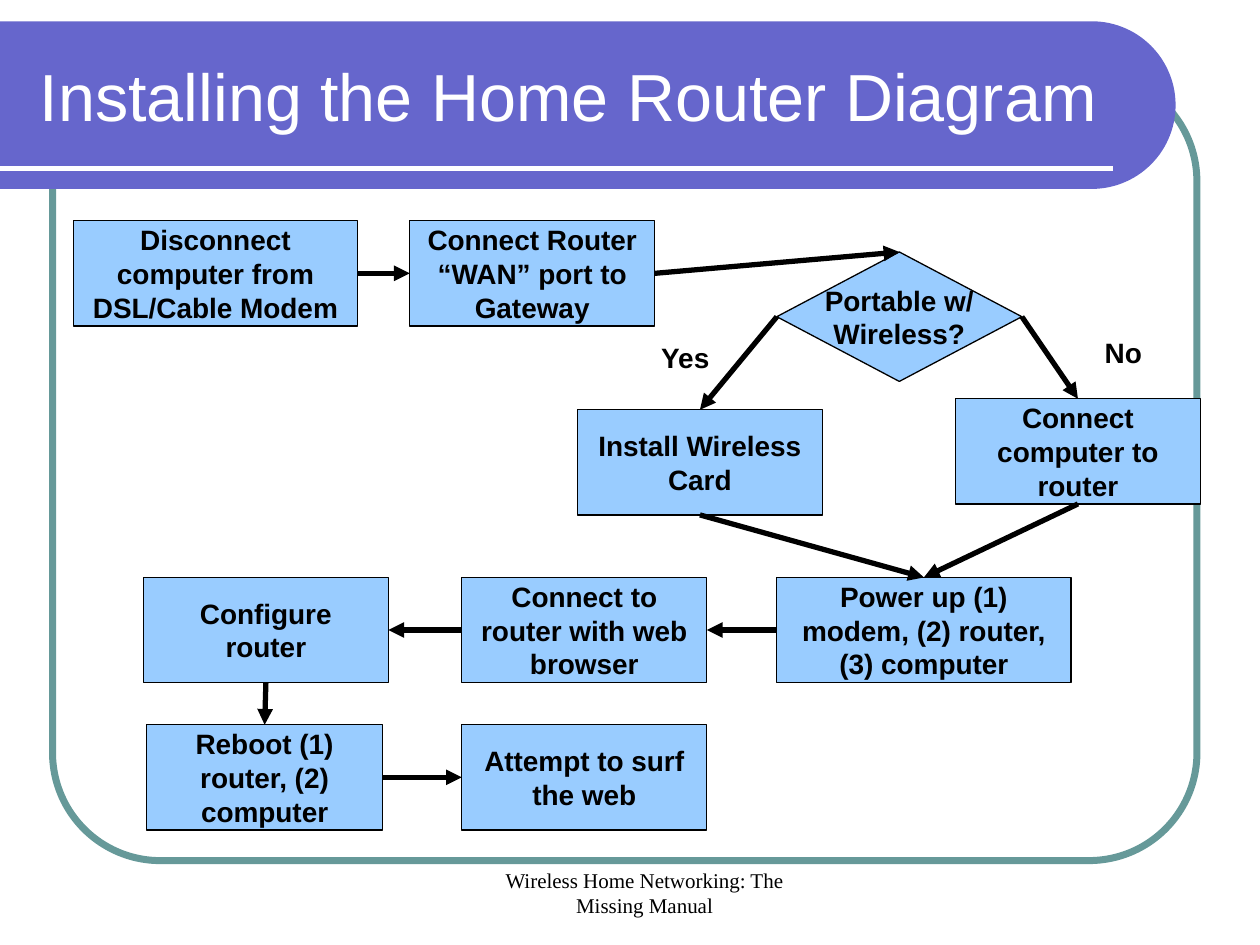
from dataclasses import dataclass
from math import cos, pi, sin

from lxml import etree
from pptx import Presentation
from pptx import util as u
from pptx.dml.color import RGBColor
from pptx.enum import shapes, text
from pptx.oxml import ns

BLACK = RGBColor(0x00, 0x00, 0x00)
WHITE = RGBColor(0xFF, 0xFF, 0xFF)
PURPLE = RGBColor(0x66, 0x66, 0xCC)
TEAL = RGBColor(0x66, 0x99, 0x99)
SKY = RGBColor(0x99, 0xCC, 0xFF)

TOP, LEFT, BOTTOM, RIGHT = range(4)
BOX_WIDTH, BOX_HEIGHT = 4.94, 2.12
PROCESS = shapes.MSO_SHAPE.FLOWCHART_PROCESS
DECISION = shapes.MSO_SHAPE.FLOWCHART_DECISION

LABEL_FONT = {"name": "Arial", "size": u.Pt(16), "bold": True}
TITLE_FONT = {"name": "Arial", "size": u.Pt(38), "bold": False}
FOOTER_FONT = {"name": "Times New Roman", "size": u.Pt(12), "bold": False}


@dataclass
class Step:
    """A box of the flowchart, measured in centimetres."""
    name: str
    words: str
    left: float
    top: float
    width: float = BOX_WIDTH
    height: float = BOX_HEIGHT
    kind: int = PROCESS


@dataclass
class Arrow:
    """A link from one side of a step to a side of another."""
    start: str
    start_side: int
    end: str
    end_side: int


@dataclass
class Caption:
    """Free text, measured in centimetres."""
    words: str
    left: float
    top: float
    width: float
    height: float
    font: dict
    color: RGBColor = BLACK
    anchor: int = text.MSO_ANCHOR.TOP
    align: int = text.PP_ALIGN.LEFT
    wrap: bool = True
    margin_left: float = 0.25


STEPS = [
    Step("disconnect", "Disconnect computer from DSL/Cable Modem", 1.48, 4.45, width=5.73),
    Step("gateway", "Connect Router “WAN” port to Gateway", 8.26, 4.45),
    Step("portable", "Portable w/\nWireless?", 15.66, 5.08, height=2.61, kind=DECISION),
    Step("card", "Install Wireless Card", 11.64, 8.26),
    Step("cable", "Connect computer to router", 19.26, 8.04),
    Step("power", "Power up (1) modem, (2) router, (3) computer", 15.66, 11.64, width=5.93),
    Step("browser", "Connect to router with web browser", 9.31, 11.64),
    Step("configure", "Configure router", 2.89, 11.64),
    Step("reboot", "Reboot (1) router, (2) computer", 2.96, 14.61, width=4.75),
    Step("surf", "Attempt to surf the web", 9.31, 14.61),
]

ARROWS = [
    Arrow("disconnect", RIGHT, "gateway", LEFT),
    Arrow("gateway", RIGHT, "portable", TOP),
    Arrow("portable", LEFT, "card", TOP),
    Arrow("portable", RIGHT, "cable", TOP),
    Arrow("cable", BOTTOM, "power", TOP),
    Arrow("card", BOTTOM, "power", TOP),
    Arrow("power", LEFT, "browser", RIGHT),
    Arrow("browser", LEFT, "configure", RIGHT),
    Arrow("configure", BOTTOM, "reboot", TOP),
    Arrow("reboot", RIGHT, "surf", LEFT),
]

CAPTIONS = [
    Caption("Installing the Home Router Diagram", 0.55, 0.64, 22.28, 2.54, TITLE_FONT,
            color=WHITE, anchor=text.MSO_ANCHOR.MIDDLE),
    Caption("Yes", 13.08, 6.74, 1.6, 0.94, LABEL_FONT, wrap=False),
    Caption("No", 22.02, 6.63, 1.4, 0.94, LABEL_FONT, wrap=False),
    Caption("Wireless Home Networking: The Missing Manual", 8.67, 17.35, 8.04, 1.27,
            FOOTER_FONT, anchor=text.MSO_ANCHOR.BOTTOM,
            align=text.PP_ALIGN.CENTER, margin_left=0.86),
]


def apply_format(target, values: dict) -> None:
    for attribute, value in values.items():
        setattr(target, attribute, value)


def write_text(shape, words: str, font: dict, color: RGBColor, frame_format: dict,
               align: int) -> None:
    frame = shape.text_frame
    apply_format(frame, frame_format)
    frame.text = words
    for paragraph in frame.paragraphs:
        paragraph.alignment = align
        apply_format(paragraph.font, font)
        paragraph.font.color.rgb = color


def add_line(slide, start: tuple, end: tuple, color: RGBColor):
    connector = slide.shapes.add_connector(
        shapes.MSO_CONNECTOR.STRAIGHT, *(u.Cm(value) for value in start + end))
    connector.line.color.rgb = color
    connector.line.width = u.Pt(3)
    return connector


def remove_shadow(connector) -> None:
    etree.SubElement(connector._element.spPr, ns.qn("a:effectLst"))


def add_backdrop(slide) -> None:
    # Rounded frame
    frame = slide.shapes.add_shape(shapes.MSO_SHAPE.ROUNDED_RECTANGLE,
                                   u.Cm(1.06), u.Cm(1.48), u.Cm(23.07), u.Cm(15.87))
    frame.adjustments[0] = 0.137
    frame.shadow.inherit = False
    frame.fill.background()
    frame.line.color.rgb = TEAL
    frame.line.width = u.Pt(4)

    # Title band with a half-round right end
    radius, center_x, center_y, segments = 1.69, 22.01, 2.12, 60
    angles = [pi * (index / segments - 0.5) for index in range(segments + 1)]
    arc = [(u.Cm(center_x + radius * cos(angle)), u.Cm(center_y + radius * sin(angle)))
           for angle in angles]
    builder = slide.shapes.build_freeform(0, u.Cm(center_y - radius))
    builder.add_line_segments(arc + [(0, u.Cm(center_y + radius))], close=True)
    band = builder.convert_to_shape()
    band.shadow.inherit = False
    band.fill.solid()
    band.fill.fore_color.rgb = PURPLE
    band.line.fill.background()

    # Rule under the title
    remove_shadow(add_line(slide, (0, 3.39), (22.44, 3.39), WHITE))


def add_step(slide, step: Step):
    shape = slide.shapes.add_shape(step.kind, u.Cm(step.left), u.Cm(step.top),
                                   u.Cm(step.width), u.Cm(step.height))
    shape.shadow.inherit = False
    shape.fill.solid()
    shape.fill.fore_color.rgb = SKY
    shape.line.color.rgb = BLACK
    shape.line.width = u.Pt(0.75)
    frame_format = {"word_wrap": step.kind != DECISION,
                    "vertical_anchor": text.MSO_ANCHOR.MIDDLE}
    write_text(shape, step.words, LABEL_FONT, BLACK, frame_format, text.PP_ALIGN.CENTER)
    return shape


def add_arrow(slide, arrow: Arrow, boxes: dict) -> None:
    connector = add_line(slide, (0, 0), (0, 0), BLACK)
    connector.begin_connect(boxes[arrow.start], arrow.start_side)
    connector.end_connect(boxes[arrow.end], arrow.end_side)
    etree.SubElement(connector.line._get_or_add_ln(), ns.qn("a:tailEnd"), type="triangle")
    remove_shadow(connector)


def add_caption(slide, caption: Caption) -> None:
    shape = slide.shapes.add_textbox(u.Cm(caption.left), u.Cm(caption.top),
                                     u.Cm(caption.width), u.Cm(caption.height))
    frame_format = {"word_wrap": caption.wrap, "vertical_anchor": caption.anchor,
                    "margin_left": u.Cm(caption.margin_left)}
    write_text(shape, caption.words, caption.font, caption.color, frame_format, caption.align)


def main() -> None:
    presentation = Presentation()
    presentation.slide_width, presentation.slide_height = u.Cm(25.4), u.Cm(19.05)
    slide = presentation.slides.add_slide(presentation.slide_layouts[6])

    add_backdrop(slide)
    boxes = {step.name: add_step(slide, step) for step in STEPS}
    for arrow in ARROWS:
        add_arrow(slide, arrow, boxes)
    for caption in CAPTIONS:
        add_caption(slide, caption)

    presentation.save("out.pptx")


if __name__ == "__main__":
    main()
